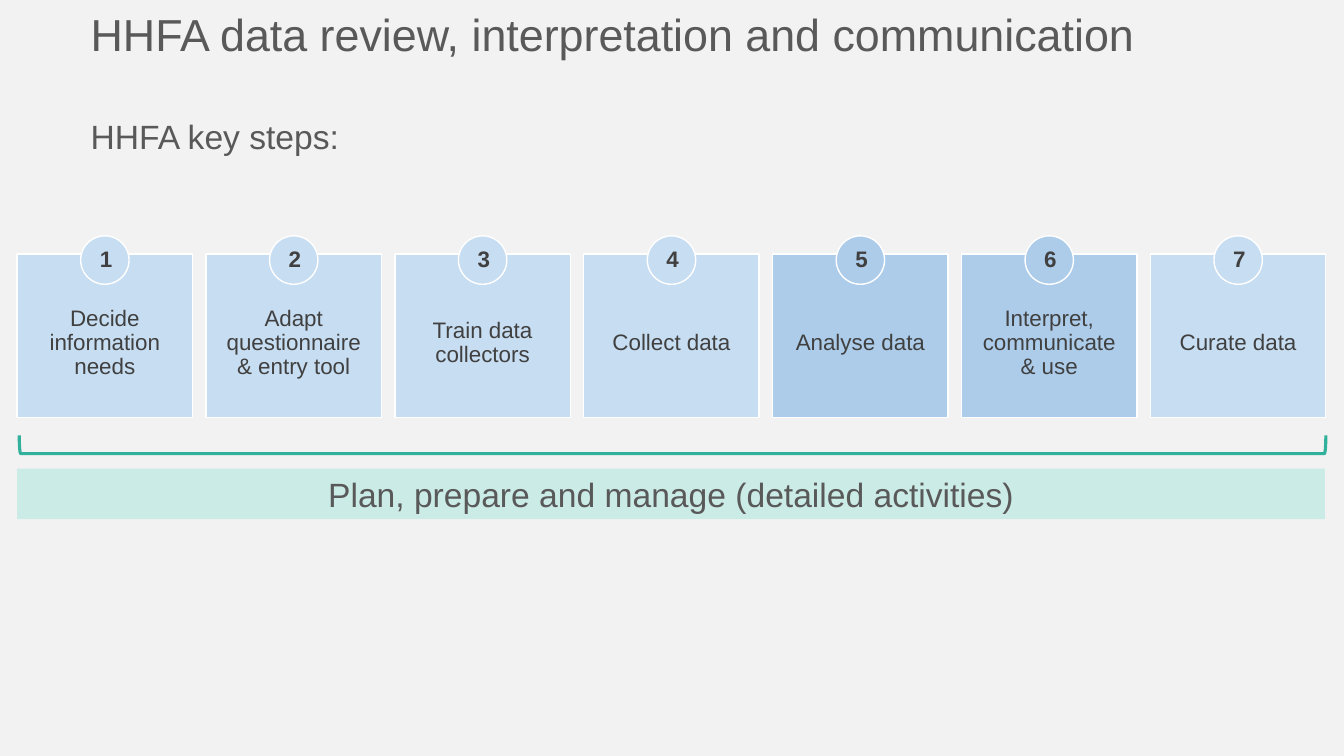
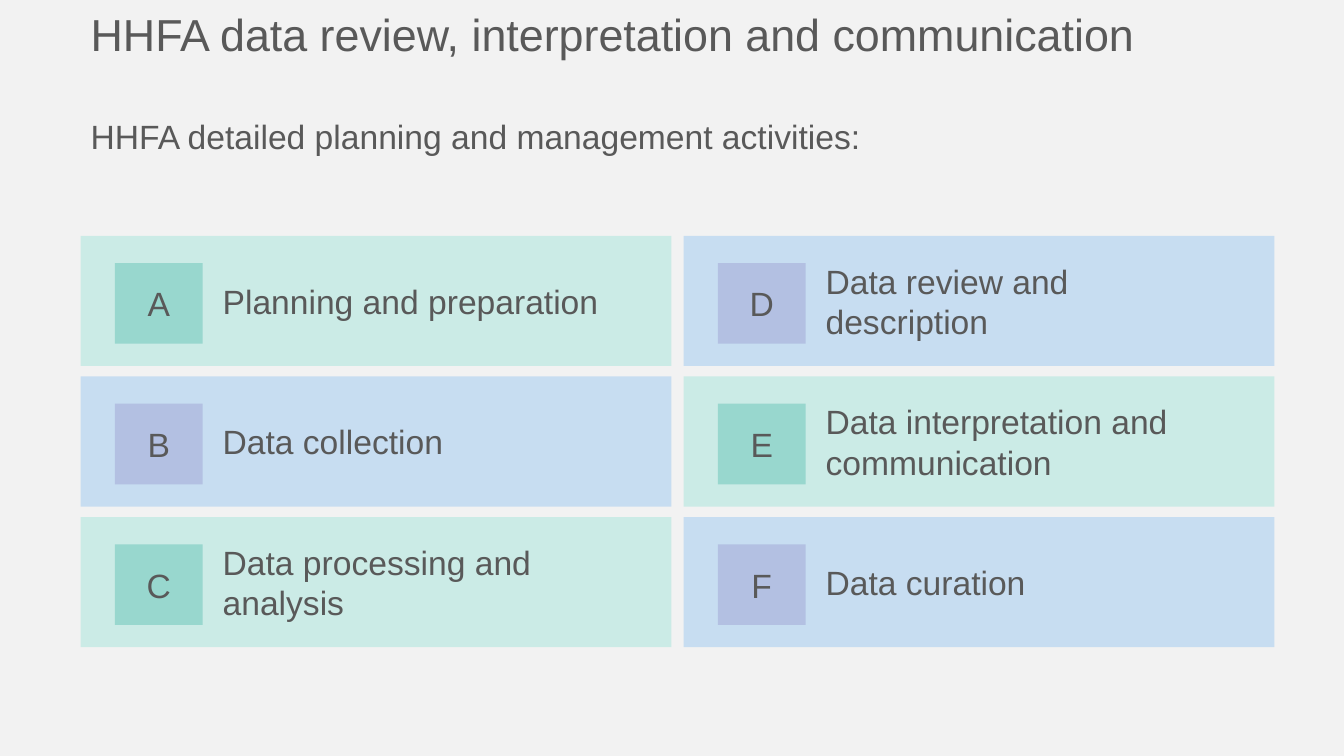
from pptx import Presentation
from pptx.dml.color import RGBColor
from pptx.enum.shapes import MSO_SHAPE
from pptx.enum.text import MSO_ANCHOR, PP_ALIGN
from pptx.util import Inches, Pt

RECTANGLE = MSO_SHAPE.RECTANGLE
OVAL = MSO_SHAPE.OVAL
BRACKET = MSO_SHAPE.RIGHT_BRACKET
LEFT, CENTER = PP_ALIGN.LEFT, PP_ALIGN.CENTER
TOP, MIDDLE = MSO_ANCHOR.TOP, MSO_ANCHOR.MIDDLE

FONT = "Arial"
BACKGROUND = "F2F2F2"
WHITE = "FFFFFF"
TEXT, STEP_TEXT = "595959", "404040"
MINT, MINT_DARK = "CBEBE6", "98D7CE"
BLUE, BLUE_STRONG, LAVENDER = "C7DDF1", "ACCCEA", "B3C0E2"
TEAL = "31B09C"

TITLE = "HHFA data review, interpretation and communication"
STEPS = [
    "Decide information needs",
    "Adapt questionnaire & entry tool",
    "Train data collectors",
    "Collect data",
    "Analyse data",
    "Interpret, communicate & use",
    "Curate data",
]
HIGHLIGHTED_STEPS = {5, 6}
ACTIVITIES = [
    "Planning and preparation",
    "Data collection",
    "Data processing and analysis",
    "Data review and description",
    "Data interpretation and communication",
    "Data curation",
]
ACTIVITY_ROWS = 3


def rgb(hex_color):
    return RGBColor.from_string(hex_color)


def write(shape, text, size, color=TEXT, align=LEFT, anchor=TOP, bold=False,
          spacing=1.0, insets=(0.1, 0.05, 0.1, 0.05)):
    frame = shape.text_frame
    frame.word_wrap = True
    frame.vertical_anchor = anchor
    (frame.margin_left, frame.margin_top,
     frame.margin_right, frame.margin_bottom) = map(Inches, insets)
    paragraph = frame.paragraphs[0]
    paragraph.text = text
    paragraph.alignment = align
    paragraph.line_spacing = spacing
    font = paragraph.runs[0].font
    font.name, font.size, font.bold = FONT, Pt(size), bold
    font.color.rgb = rgb(color)


def add_label(slide, box, text, size, **style):
    write(slide.shapes.add_textbox(*map(Inches, box)), text, size, **style)


def add_block(slide, kind, box, fill=None, line=None, line_width=1):
    block = slide.shapes.add_shape(kind, *map(Inches, box))
    block.shadow.inherit = False
    if fill:
        block.fill.solid()
        block.fill.fore_color.rgb = rgb(fill)
    else:
        block.fill.background()
    if line:
        block.line.color.rgb = rgb(line)
        block.line.width = Pt(line_width)
    else:
        block.line.fill.background()
    return block


def add_headed_slide(prs, subtitle):
    slide = prs.slides.add_slide(prs.slide_layouts[6])
    add_label(slide, (0.8, 0.02, 11.82, 0.64), TITLE, 32)
    add_label(slide, (0.8, 1.15, 11.82, 0.47), subtitle, 24, spacing=0.9)
    return slide


def add_step(slide, box, number, text):
    left, top, width, _ = box
    fill = BLUE_STRONG if number in HIGHLIGHTED_STEPS else BLUE
    card = add_block(slide, RECTANGLE, box, fill, WHITE)
    write(card, text, 16, STEP_TEXT, CENTER, MIDDLE, spacing=0.9,
          insets=(0.16, 0.39, 0.16, 0.24))
    diameter = 0.48
    badge_box = (left + (width - diameter) / 2, top - 0.18, diameter, diameter)
    badge = add_block(slide, OVAL, badge_box, fill, WHITE)
    write(badge, str(number), 16, STEP_TEXT, CENTER, MIDDLE, bold=True,
          spacing=0.9, insets=(0.12, 0.04, 0.12, 0.04))


def add_step_row(slide, box):
    left, top, width, height = box
    card_width = 1.74
    pitch = (width - card_width) / (len(STEPS) - 1)
    for index, text in enumerate(STEPS):
        card_box = (left + index * pitch, top, card_width, height)
        add_step(slide, card_box, index + 1, text)


def add_upward_bracket(slide, box):
    left, top, width, height = box
    unrotated = (left + (width - height) / 2, top + (height - width) / 2,
                 height, width)
    bracket = add_block(slide, BRACKET, unrotated, line=TEAL, line_width=2.25)
    bracket.rotation = 90


def add_activity(slide, box, letter, text, card_fill, badge_fill):
    left, top, _, height = box
    add_block(slide, RECTANGLE, box, card_fill)
    badge_box = (left + 0.34, top + 0.27, 0.87, 0.8)
    badge = add_block(slide, RECTANGLE, badge_box, badge_fill)
    write(badge, letter, 24, align=CENTER, anchor=MIDDLE)
    add_label(slide, (left + 1.31, top, 3.98, height), text, 24, anchor=MIDDLE)


def add_activity_grid(slide, box):
    left, top, width, height = box
    card_width, card_height = 5.86, 1.29
    column_pitch = width - card_width
    row_pitch = (height - card_height) / (ACTIVITY_ROWS - 1)
    palettes = [(MINT, MINT_DARK), (BLUE, LAVENDER)]
    for index, (letter, text) in enumerate(zip("ABCDEF", ACTIVITIES)):
        column, row = divmod(index, ACTIVITY_ROWS)
        card_box = (left + column * column_pitch, top + row * row_pitch,
                    card_width, card_height)
        add_activity(slide, card_box, letter, text,
                     *palettes[(column + row) % 2])


def build_key_steps(prs):
    slide = add_headed_slide(prs, "HHFA key steps:")
    add_step_row(slide, (0.17, 2.52, 12.98, 1.62))
    add_upward_bracket(slide, (0.19, 4.32, 12.96, 0.18))
    management = add_block(slide, RECTANGLE, (0.17, 4.65, 12.97, 0.5), MINT)
    write(management, "Plan, prepare and manage (detailed activities)", 24,
          align=CENTER)


def build_activities(prs):
    slide = add_headed_slide(
        prs, "HHFA detailed planning and management activities:")
    add_activity_grid(slide, (0.8, 2.34, 11.84, 4.08))


def main():
    prs = Presentation()
    prs.slide_width, prs.slide_height = Inches(13.33), Inches(7.5)
    backdrop = prs.slide_master.background.fill
    backdrop.solid()
    backdrop.fore_color.rgb = rgb(BACKGROUND)
    build_key_steps(prs)
    build_activities(prs)
    prs.save("out.pptx")


if __name__ == "__main__":
    main()
